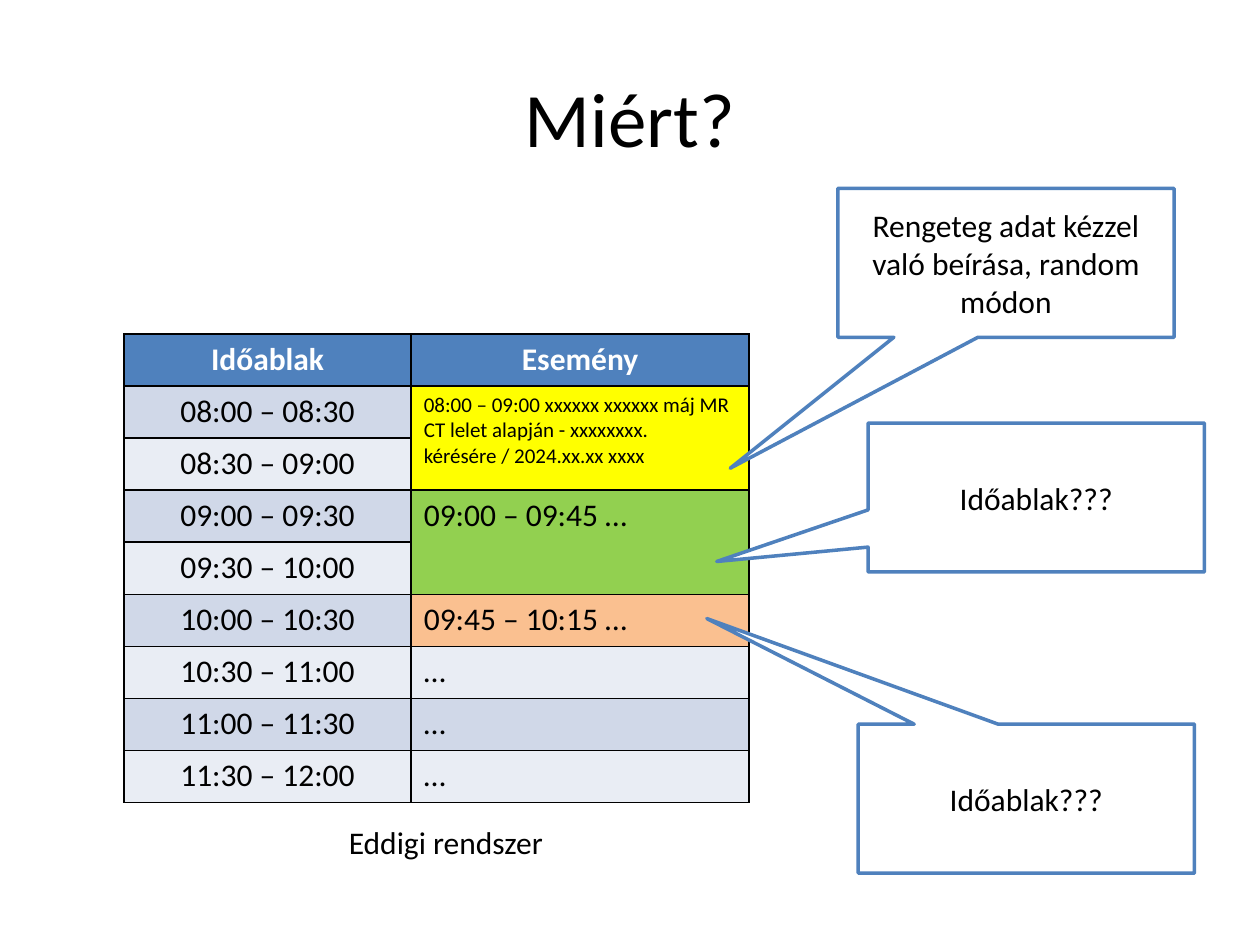
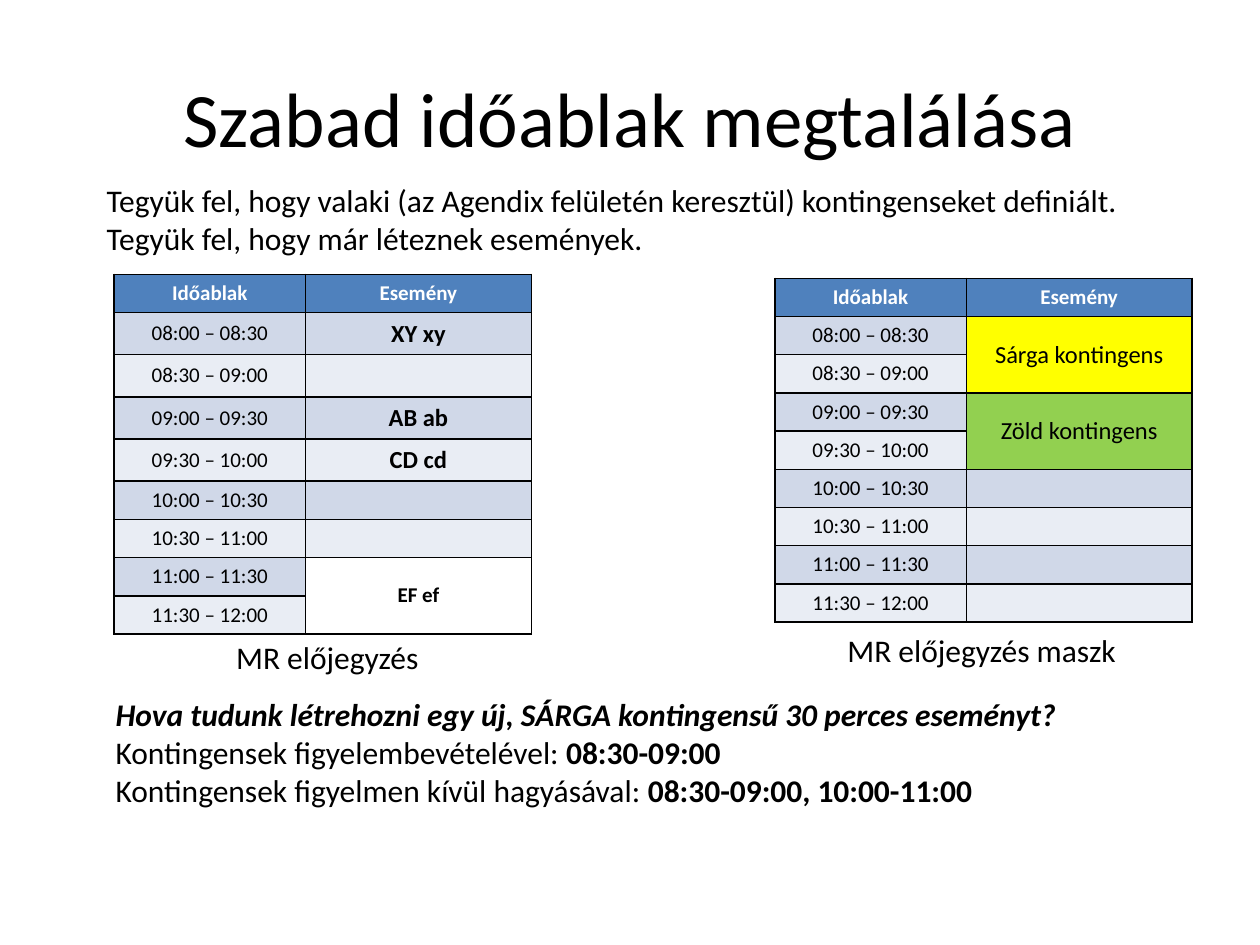
from dataclasses import dataclass

from lxml.etree import SubElement
from pptx import Presentation
from pptx.dml.color import RGBColor
from pptx.enum.shapes import MSO_SHAPE as Shape
from pptx.enum.text import MSO_ANCHOR as Anchor, PP_ALIGN as Align
from pptx.oxml.ns import qn
from pptx.util import Cm, Pt

FONT = "Calibri"
COLORS = {
    "text": "000000",
    "white": "FFFFFF",
    "blue": "4F81BD",
    "odd_row": "D0D8E8",
    "even_row": "E9EDF4",
    "yellow": "FFFF00",
    "green": "92D050",
    "orange": "FAC090",
}
HEADINGS = ("Időablak", "Esemény")
HALF_HOURS = [f"{m // 60:02}:{m % 60:02}" for m in range(480, 721, 30)]
TIME_SLOTS = [f"{start} – {end}" for start, end in zip(HALF_HOURS, HALF_HOURS[1:])]


@dataclass
class Event:
    text: str = ""
    size: int = 12
    fill: str = ""
    span: int = 1
    bold: bool = False
    align: Align = Align.CENTER
    anchor: Anchor = Anchor.MIDDLE


def color(name):
    return RGBColor.from_string(COLORS[name])


def style(paragraph, size, align=Align.LEFT, bold=None, ink="text"):
    paragraph.alignment = align
    font = paragraph.font
    font.name, font.size, font.bold = FONT, Pt(size), bold
    font.color.rgb = color(ink)


def add_text(slide, left, top, width, height, lines, size=18,
             align=Align.CENTER, anchor=Anchor.TOP, wrap=True):
    frame = slide.shapes.add_textbox(Cm(left), Cm(top), Cm(width), Cm(height)).text_frame
    frame.word_wrap = wrap
    frame.vertical_anchor = anchor
    for index, line in enumerate(lines):
        paragraph = frame.add_paragraph() if index else frame.paragraphs[0]
        style(paragraph, size, align)
        for text, bold, italic in line:
            run = paragraph.add_run()
            run.text = text
            run.font.bold, run.font.italic = bold, italic


def plain(text):
    return [(text, None, None)]


def add_title(slide, title):
    add_text(slide, 1.27, 0.76, 22.86, 3.18, [plain(title)], size=44, anchor=Anchor.MIDDLE)


def add_caption(slide, left, top, caption):
    add_text(slide, left, top, 9.4, 1.03, [plain(caption)])


def add_callout(slide, left, top, remark, tip):
    callout = slide.shapes.add_shape(
        Shape.RECTANGULAR_CALLOUT, Cm(left), Cm(top), Cm(6.78), Cm(3))
    callout.shadow.inherit = False
    callout.adjustments[0], callout.adjustments[1] = tip
    callout.fill.solid()
    callout.fill.fore_color.rgb = color("white")
    callout.line.color.rgb = color("blue")
    callout.line.width = Pt(2)
    frame = callout.text_frame
    frame.word_wrap = True
    frame.vertical_anchor = Anchor.MIDDLE
    frame.text = remark
    style(frame.paragraphs[0], 18, Align.CENTER)


def add_borders(cell):
    properties = cell._tc.get_or_add_tcPr()
    for side in ("lnL", "lnR", "lnT", "lnB"):
        border = SubElement(properties, qn(f"a:{side}"), w=str(Pt(1)))
        SubElement(SubElement(border, qn("a:solidFill")), qn("a:srgbClr"), val=COLORS["text"])


def fill_cell(cell, text, size, fill, align=Align.CENTER, anchor=Anchor.TOP,
              bold=False, ink="text"):
    add_borders(cell)
    cell.fill.solid()
    cell.fill.fore_color.rgb = color(fill)
    cell.vertical_anchor = anchor
    cell.text = text
    paragraph = cell.text_frame.paragraphs[0]
    style(paragraph, size, align, bold, ink)
    if not text:
        SubElement(paragraph._p, qn("a:endParaRPr"), sz=str(size * 100))


def add_schedule(slide, left, top, widths, heights, size, events, anchor=Anchor.TOP):
    schedule = slide.shapes.add_table(
        len(heights), 2, Cm(left), Cm(top), Cm(sum(widths)), Cm(sum(heights))).table
    for column, width in zip(schedule.columns, widths):
        column.width = Cm(width)
    for row, height in zip(schedule.rows, heights):
        row.height = Cm(height)
    for column, heading in enumerate(HEADINGS):
        fill_cell(schedule.cell(0, column), heading, size, "blue",
                  anchor=anchor, bold=True, ink="white")
    for row, slot in enumerate(TIME_SLOTS, 1):
        band = "odd_row" if row % 2 else "even_row"
        event = events.get(row, Event())
        fill_cell(schedule.cell(row, 0), slot, size, band, anchor=anchor)
        fill_cell(schedule.cell(row, 1), event.text, event.size, event.fill or band,
                  event.align, event.anchor, event.bold)
    for row, event in events.items():
        if event.span > 1:
            schedule.cell(row, 1).merge(schedule.cell(row + event.span - 1, 1))


def build_why(slide):
    add_title(slide, "Miért?")

    def entry(text, size=18, fill="", span=1):
        return Event(text, size, fill, span, align=Align.LEFT, anchor=Anchor.TOP)

    events = {
        1: entry("08:00 – 09:00 xxxxxx xxxxxx máj MR CT lelet alapján - xxxxxxxx. "
                 "kérésére / 2024.xx.xx xxxx", 12, "yellow", 2),
        3: entry("09:00 – 09:45 …", fill="green", span=2),
        5: entry("09:45 – 10:15 …", fill="orange"),
        **{row: entry("…") for row in (6, 7, 8)},
    }
    add_schedule(slide, 2.5, 6.73, (5.79, 6.81), [1.05] * 9, 18, events)
    add_caption(slide, 4.29, 16.46, "Eddigi rendszer")
    add_callout(slide, 16.89, 3.8, "Rengeteg adat kézzel való beírása, random módon",
                (-0.82, 1.38))
    add_callout(slide, 17.5, 8.53, "Időablak???", (-0.95, 0.43))
    add_callout(slide, 17.3, 14.6, "Időablak???", (-0.95, -1.21))


def build_free_slot(slide):
    add_title(slide, "Szabad időablak megtalálása")
    widths = (3.86, 4.55)
    quotas = {
        1: Event("Sárga kontingens", 14, "yellow", 2),
        3: Event("Zöld kontingens", 14, "green", 2),
    }
    add_schedule(slide, 15.62, 5.61, widths, [0.77] * 9, 12, quotas)
    add_caption(slide, 15.09, 12.6, "MR előjegyzés maszk")

    bookings = {
        1: Event("XY xy", 14, bold=True),
        3: Event("AB ab", 14, bold=True),
        4: Event("CD cd", 14, bold=True),
        7: Event("EF ef", fill="white", span=2, bold=True),
    }
    heights = [0.77] + [0.85] * 4 + [0.77] * 4
    add_schedule(slide, 2.3, 5.53, widths, heights, 12, bookings, Anchor.MIDDLE)
    add_caption(slide, 1.9, 12.73, "MR előjegyzés")

    assumptions = [
        plain("Tegyük fel, hogy valaki (az Agendix felületén keresztül) "
              "kontingenseket definiált."),
        plain("Tegyük fel, hogy már léteznek események."),
    ]
    add_text(slide, 1.9, 3.53, 21.13, 1.8, assumptions, align=Align.LEFT, wrap=False)
    answers = [
        [("Hova tudunk létrehozni egy új, SÁRGA kontingensű 30 perces eseményt?", True, True)],
        plain("Kontingensek figyelembevételével: ") + [("08:30-09:00", True, None)],
        plain("Kontingensek figyelmen kívül hagyásával: ")
        + [("08:30-09:00, 10:00-11:00", True, None)],
    ]
    add_text(slide, 2.08, 13.89, 19.71, 2.57, answers, align=Align.LEFT, wrap=False)


def main():
    deck = Presentation()
    deck.slide_width, deck.slide_height = Cm(25.4), Cm(19.05)
    for build in (build_why, build_free_slot):
        build(deck.slides.add_slide(deck.slide_layouts[6]))
    deck.save("out.pptx")


if __name__ == "__main__":
    main()
